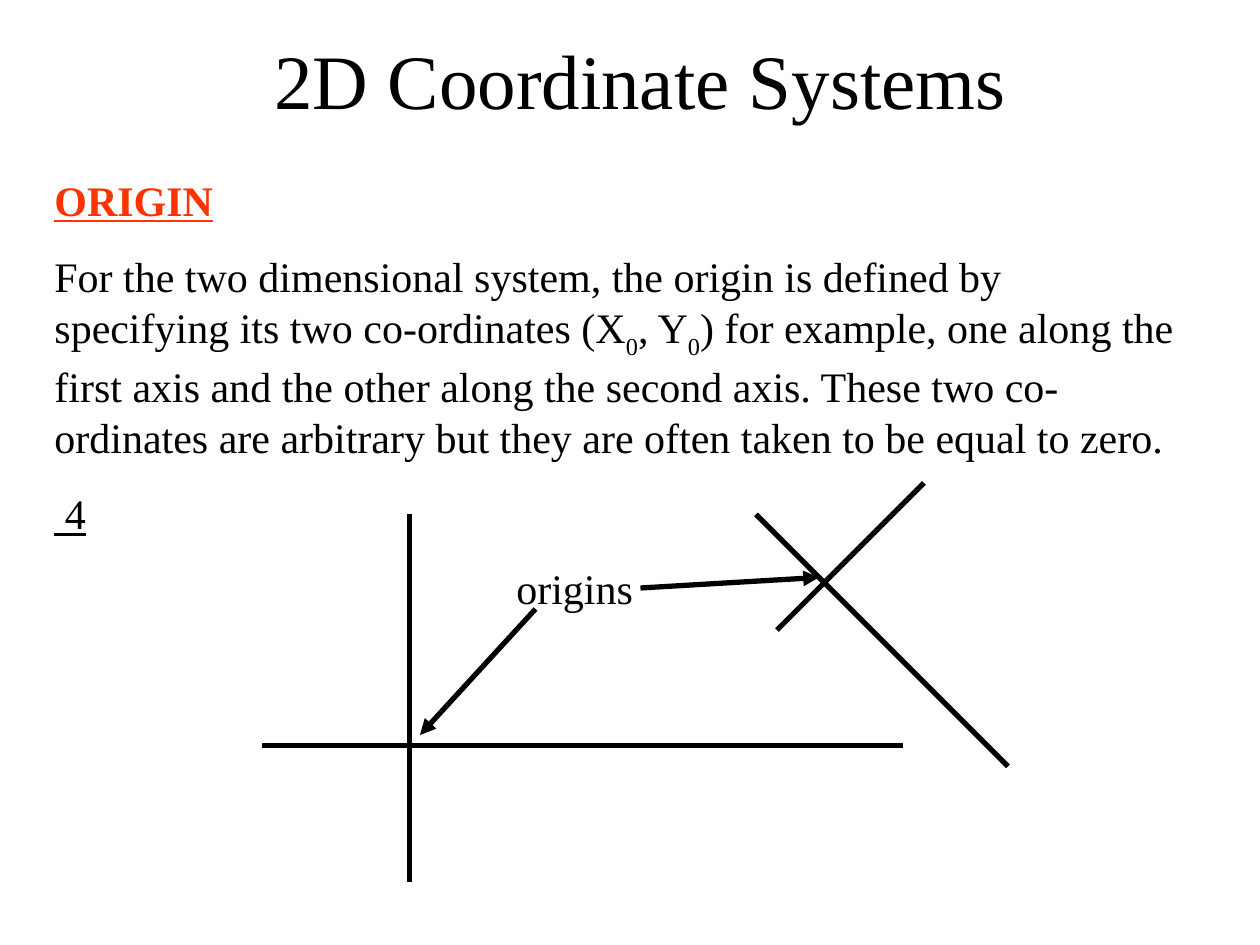
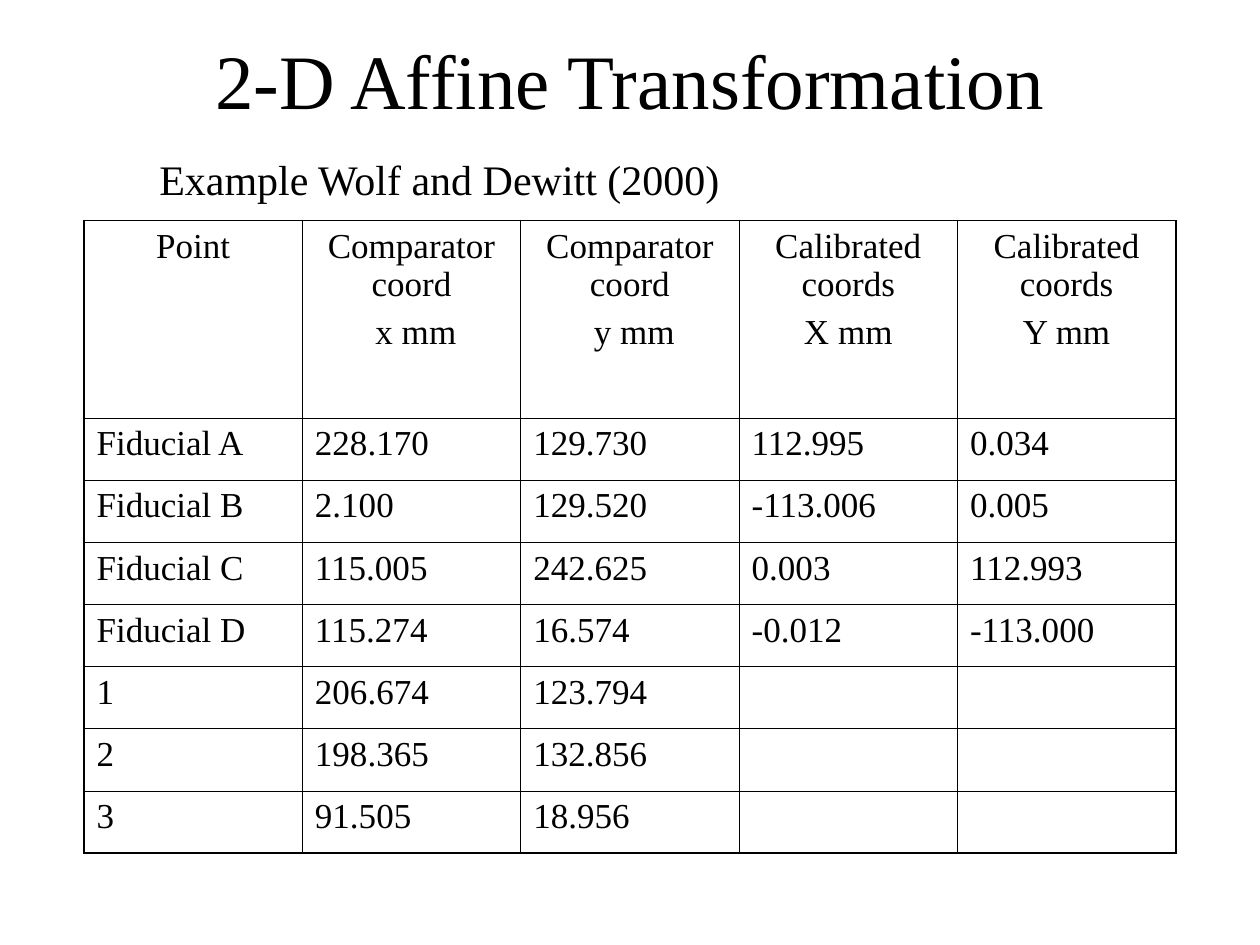
from dataclasses import dataclass

from lxml.etree import SubElement
from pptx import Presentation
from pptx.dml.color import RGBColor
from pptx.enum.shapes import MSO_CONNECTOR
from pptx.enum.text import MSO_ANCHOR, MSO_AUTO_SIZE, PP_ALIGN
from pptx.oxml.ns import qn
from pptx.util import Pt


@dataclass(frozen=True)
class Theme:
    font: str = "Times New Roman"
    ink: RGBColor = RGBColor(0x00, 0x00, 0x00)
    accent: RGBColor = RGBColor(0xFF, 0x33, 0x00)
    title_size: float = 44
    body_size: float = 24
    cell_size: float = 20
    body_gap: float = 15
    cell_gap: float = 5
    axis_width: float = 3
    outer_border: float = 1.08
    inner_border: float = 0.45


THEME = Theme()

SUBSCRIPT = {"baseline": "-30000"}
HEADING = {"bold": True, "underline": True, "color": THEME.accent}
UNDERLINED = {"underline": True}

ORIGIN_TEXT = [
    [("ORIGIN", HEADING)],
    [
        ("For the two dimensional system, the origin is defined by "
         "specifying its two co-ordinates (X", {}),
        ("0", SUBSCRIPT),
        (", Y", {}),
        ("0", SUBSCRIPT),
        (") for example, one along the first axis and the other along the "
         "second axis. These two co-ordinates are arbitrary but they are "
         "often taken to be equal to zero.", {}),
    ],
    [(" 4", UNDERLINED)],
]

AXES = [
    ((234, 294), (234, 504)),
    ((150, 426), (516, 426)),
    ((528, 276), (444, 360)),
    ((432, 294), (576, 438)),
]
ORIGIN_ARROWS = [
    ((306, 348), (240, 420)),
    ((366, 336), (468, 330)),
]

HEADER = [
    ["Point"],
    ["Comparator coord", " x mm"],
    ["Comparator coord", " y mm"],
    ["Calibrated coords", "X mm"],
    ["Calibrated coords", "Y mm"],
]
MEASUREMENTS = [
    ["Fiducial A", "228.170", "129.730", "112.995", "0.034"],
    ["Fiducial B", "2.100", "129.520", "-113.006", "0.005"],
    ["Fiducial C", "115.005", "242.625", "0.003", "112.993"],
    ["Fiducial D", "115.274", "16.574", "-0.012", "-113.000"],
    ["1", "206.674", "123.794", "", ""],
    ["2", "198.365", "132.856", "", ""],
    ["3", "91.505", "18.956", "", ""],
]


def write_run(paragraph, words, size, formats):
    run = paragraph.add_run()
    run.text = words
    values = {"name": THEME.font, "size": Pt(size), "color": THEME.ink, **formats}
    run.font.color.rgb = values.pop("color")
    baseline = values.pop("baseline", None)
    if baseline:
        run._r.get_or_add_rPr().set("baseline", baseline)
    for attribute, value in values.items():
        setattr(run.font, attribute, value)


def write_paragraphs(frame, paragraphs, size, gap, align):
    for number, runs in enumerate(paragraphs):
        paragraph = frame.add_paragraph() if number else frame.paragraphs[0]
        paragraph.alignment = align
        paragraph.space_before = Pt(gap)
        paragraph.font.size = Pt(size)
        for words, formats in runs:
            write_run(paragraph, words, size, formats)


def add_title(slide, words, left):
    frame = slide.shapes.add_textbox(Pt(left), 0, Pt(612), Pt(90)).text_frame
    frame.word_wrap = True
    frame.vertical_anchor = MSO_ANCHOR.MIDDLE
    write_paragraphs(frame, [[(words, {})]], THEME.title_size, 0, PP_ALIGN.CENTER)


def add_body(slide, paragraphs, *bounds):
    frame = slide.shapes.add_textbox(*map(Pt, bounds)).text_frame
    frame.word_wrap = True
    frame.auto_size = MSO_AUTO_SIZE.SHAPE_TO_FIT_TEXT
    write_paragraphs(frame, paragraphs, THEME.body_size, THEME.body_gap, PP_ALIGN.LEFT)


def add_line(slide, start, end, arrow=False):
    connector = slide.shapes.add_connector(
        MSO_CONNECTOR.STRAIGHT, *map(Pt, start + end))
    connector.line.color.rgb = THEME.ink
    connector.line.width = Pt(THEME.axis_width)
    if arrow:
        SubElement(connector.line._get_or_add_ln(), qn("a:tailEnd"), type="triangle")
    SubElement(connector._element.spPr, qn("a:effectLst"))


def set_borders(cell, outer_sides):
    properties = cell._tc.get_or_add_tcPr()
    for side in "LRTB":
        width = THEME.outer_border if side in outer_sides else THEME.inner_border
        border = SubElement(properties, qn(f"a:ln{side}"), w=str(Pt(width)))
        fill = SubElement(border, qn("a:solidFill"))
        SubElement(fill, qn("a:srgbClr"), val=str(THEME.ink))


def add_measurement_table(slide, left, top, width, header_height, row_height):
    rows = [HEADER] + [[[value] for value in row] for row in MEASUREMENTS]
    last_row, last_column = len(rows) - 1, len(HEADER) - 1
    height = header_height + row_height * last_row
    table = slide.shapes.add_table(
        len(rows), len(HEADER), *map(Pt, (left, top, width, height))).table
    table.first_row = table.horz_banding = False
    for column in table.columns:
        column.width = Pt(width / len(HEADER))
    for r, row in enumerate(rows):
        table.rows[r].height = Pt(row_height if r else header_height)
        align = PP_ALIGN.LEFT if r else PP_ALIGN.CENTER
        for c, lines in enumerate(row):
            cell = table.cell(r, c)
            edges = {"L": c == 0, "R": c == last_column,
                     "T": r == 0, "B": r == last_row}
            set_borders(cell, [side for side, outer in edges.items() if outer])
            cell.fill.background()
            paragraphs = [[(line, {})] if line else [] for line in lines]
            write_paragraphs(cell.text_frame, paragraphs,
                             THEME.cell_size, THEME.cell_gap, align)


def build_coordinate_systems(slide):
    add_title(slide, "2D Coordinate Systems", 60)
    add_body(slide, ORIGIN_TEXT, 24, 96, 660, 303)
    for start, end in AXES:
        add_line(slide, start, end)
    add_body(slide, [[("origins", {})]], 288, 318, 114, 36)
    for start, end in ORIGIN_ARROWS:
        add_line(slide, start, end, arrow=True)


def build_affine_transformation(slide):
    add_title(slide, "2-D Affine Transformation", 54)
    add_body(slide, [[("Example Wolf and Dewitt (2000)", {})]], 84, 84, 534, 36)
    add_measurement_table(slide, 48, 126, 624, 113, 35.5)


def main():
    deck = Presentation()
    deck.slide_width, deck.slide_height = Pt(720), Pt(540)
    blank = deck.slide_layouts[6]
    for build in (build_coordinate_systems, build_affine_transformation):
        build(deck.slides.add_slide(blank))
    deck.save("out.pptx")


if __name__ == "__main__":
    main()
